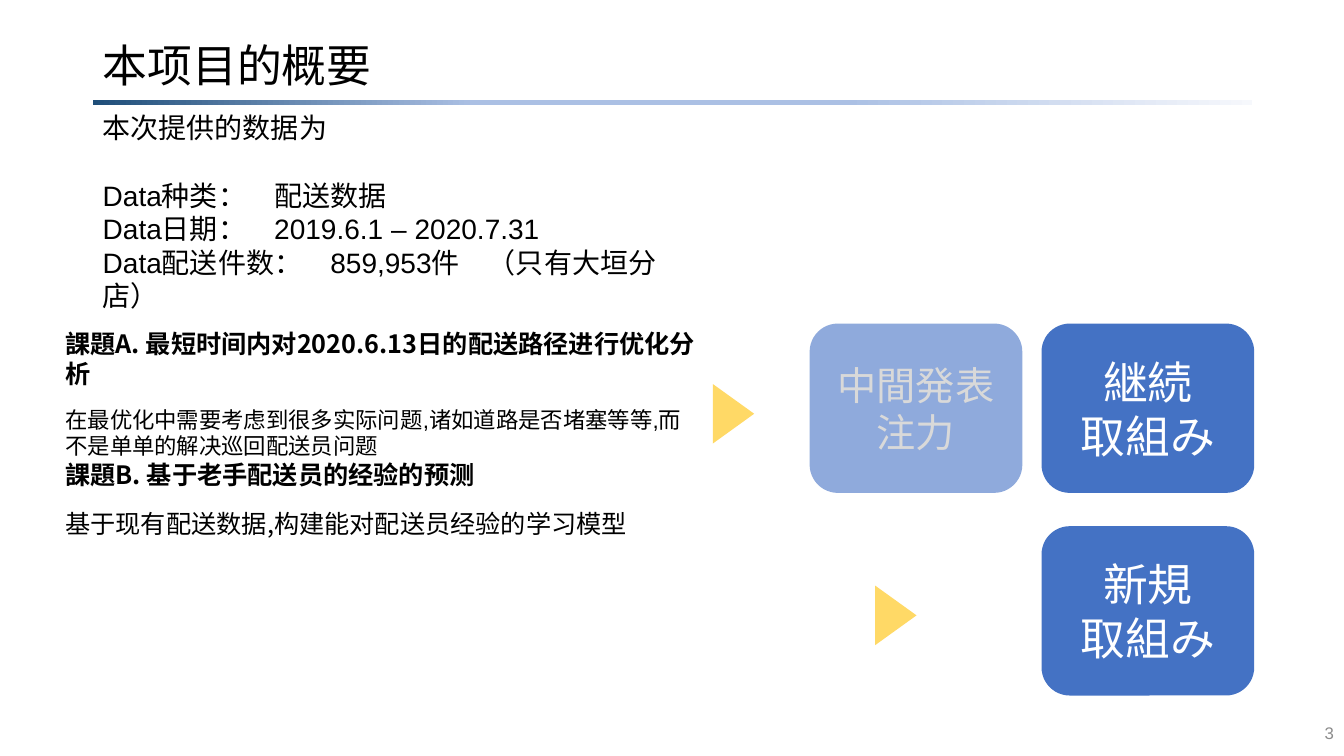
from lxml import etree
from pptx import Presentation
from pptx import util as u
from pptx.dml.color import RGBColor
from pptx.enum import shapes, text
from pptx.oxml.ns import qn

ARIAL, NOTO = "Arial", "Noto Sans CJK SC"
LEFT, CENTER, RIGHT = text.PP_ALIGN.LEFT, text.PP_ALIGN.CENTER, text.PP_ALIGN.RIGHT
TOP, MIDDLE = text.MSO_ANCHOR.TOP, text.MSO_ANCHOR.MIDDLE


def add_preset(kind, left, top, width, height, color):
    shape = page.shapes.add_shape(
        kind, u.Inches(left), u.Inches(top), u.Inches(width), u.Inches(height))
    shape.shadow.inherit = False
    shape.fill.solid()
    shape.fill.fore_color.rgb = RGBColor.from_string(color)
    shape.line.fill.background()
    return shape


def write(box, lines, color="000000", align=LEFT, anchor=TOP):
    frame = box.text_frame
    frame.word_wrap = True
    frame.vertical_anchor = anchor
    for index, (words, size, face, bold, before) in enumerate(lines):
        para = frame.paragraphs[0] if index == 0 else frame.add_paragraph()
        para.text = words
        para.alignment = align
        if before:
            para.space_before = u.Pt(before)
        para.font.size = u.Pt(size)
        para.font.bold = bold
        para.font.color.rgb = RGBColor.from_string(color)
        para.font.name = face
        defaults = para._p.pPr.find(qn("a:defRPr"))
        etree.SubElement(defaults, qn("a:ea"), typeface=face)
    return frame


deck = Presentation()
deck.slide_width, deck.slide_height = u.Inches(13.33), u.Inches(7.5)
page = deck.slides.add_slide(deck.slide_layouts[6])

rule = add_preset(shapes.MSO_SHAPE.RECTANGLE, 0.92, 0.99, 11.5, 0.05, "ABC0E4")
rule.fill.gradient()
rule.fill.gradient_angle = 0
stops = rule._element.spPr.find(qn("a:gradFill")).find(qn("a:gsLst"))
for stop in list(stops):
    stops.remove(stop)
for percent, color in [(0, "1F4E79"), (33, "ABC0E4"), (65, "ABC0E4"), (100, "F6F8FC")]:
    stop = etree.SubElement(stops, qn("a:gs"), pos=str(percent * 1000))
    etree.SubElement(stop, qn("a:srgbClr"), val=color)

text_boxes = [
    (0.92, 0.33, 11.5, 0.62, "000000", LEFT, MIDDLE,
     [("本项目的概要", 32, ARIAL, False, 0)]),
    (10.33, 7.07, 3, 0.4, "8C8C8C", RIGHT, MIDDLE,
     [("3", 12, ARIAL, False, 0)]),
    (0.55, 3.21, 6.52, 2.24, "000000", LEFT, TOP,
     [("課題A. 最短时间内对2020.6.13日的配送路径进行优化分析", 18, NOTO, True, 0),
      ("在最优化中需要考虑到很多实际问题,诸如道路是否堵塞等等,而不是单单的解决巡回配送员问题",
       16, ARIAL, False, 12),
      ("課題B. 基于老手配送员的经验的预测", 18, NOTO, True, 0),
      ("基于现有配送数据,构建能对配送员经验的学习模型", 18, NOTO, False, 13)]),
    (0.92, 1.05, 5.69, 1.78, "000000", LEFT, TOP,
     [("本次提供的数据为", 20, ARIAL, False, 0),
      ("Data种类：　配送数据", 20, ARIAL, False, 24),
      ("Data日期：　2019.6.1 – 2020.7.31", 20, ARIAL, False, 0),
      ("Data配送件数：　859,953件　（只有大垣分店）", 20, ARIAL, False, 0)]),
]
for left, top, width, height, color, align, anchor, lines in text_boxes:
    box = page.shapes.add_textbox(
        u.Inches(left), u.Inches(top), u.Inches(width), u.Inches(height))
    write(box, lines, color, align, anchor)

cards = [
    (8.03, 3.21, "8FAADC", "D9D9D9", 28, ["中間発表注力"]),
    (10.33, 5.22, "4472C4", "FFFFFF", 32, ["新規", "取組み"]),
    (10.33, 3.21, "4472C4", "FFFFFF", 32, ["継続", "取組み"]),
]
for left, top, fill, color, size, labels in cards:
    card = add_preset(shapes.MSO_SHAPE.ROUNDED_RECTANGLE, left, top, 2.11, 1.68, fill)
    write(card, [(label, size, ARIAL, False, 0) for label in labels], color, CENTER, MIDDLE)

for left, top in [(6.98, 3.9), (8.59, 5.9)]:
    arrow = add_preset(shapes.MSO_SHAPE.ISOSCELES_TRIANGLE, left, top, 0.59, 0.41, "FFD966")
    arrow.rotation = 90

deck.save("out.pptx")
